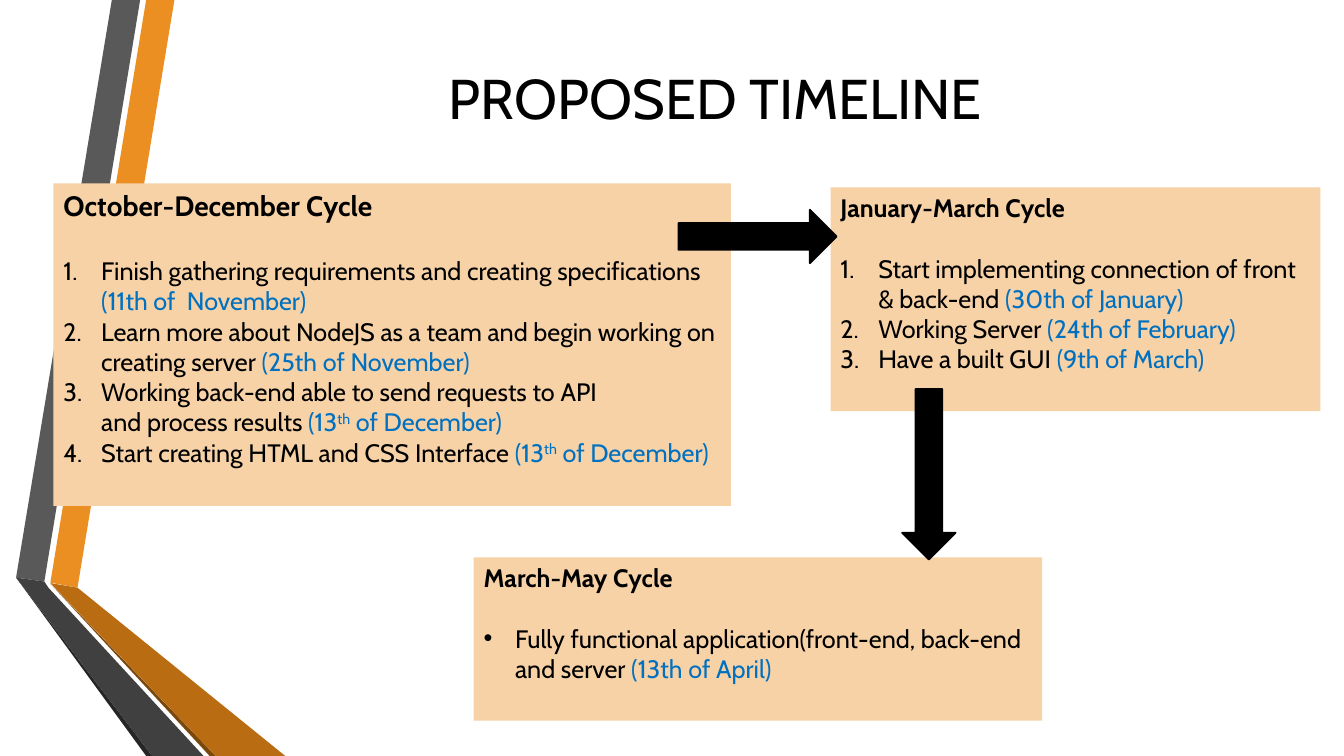
from pptx import Presentation
from pptx.dml.color import RGBColor
from pptx.enum.shapes import MSO_SHAPE as Shape
from pptx.enum.text import MSO_ANCHOR as Anchor, PP_ALIGN as Align
from pptx.oxml.ns import qn
from pptx.util import Pt
from lxml.etree import SubElement

# Content: "~" is a no-break space, "^" switches superscript on and off
FONT = "Cabin"
COLORS = {"black": "000000", "date": "0070C0", "box": "F7D2A7",
          "orange": "EB8F22", "gray": "595959", "charcoal": "262626",
          "brown": "7B480B", "amber": "B96C11", "slate": "404040"}
TITLE = "PROPOSED TIMELINE"
TITLE_BOX = (116.6, 0, 789.1, 138.2)

CYCLES = [
    {"heading": "October-December Cycle", "size": 20, "numbered": True, "indent": 27,
     "box": (38.2, 131, 483.8, 230.4),
     "tasks": [
         ("Finish gathering requirements and~creating specifications ", "(11th of~ November)"),
         ("Learn more about NodeJS as a team and begin working~on creating~server ",
          "(25th of November)"),
         ("Working~back-end able to send requests to API and~process~results ",
          "(13^th^~of December)"),
         ("Start creating~HTML and CSS~Interface~", "(13^th^~of December)")]},
    {"heading": "January-March Cycle", "size": 18, "numbered": True, "indent": 27,
     "box": (593.3, 133.9, 349.9, 159.8),
     "tasks": [
         ("Start implementing connection of front &~back-end~", "(30th of January)"),
         ("Working Server ", "(24th of February)"),
         ("Have a built GUI ", "(9th of~March)")]},
    {"heading": "March-May Cycle", "size": 18, "numbered": False, "indent": 22.5,
     "box": (338.4, 398.2, 406.1, 116.6),
     "tasks": [
         ("Fully functional~application(front-end, back-end and server~", "(13th of~April)")]},
]

ARROWS = [(Shape.RIGHT_ARROW, (484.6, 149.8, 113, 38.2)),
          (Shape.DOWN_ARROW, (644.4, 277.9, 38.2, 121.7))]

RIBBONS = [
    ("orange", [(36, 416.2), (55.4, 419.8), (124.6, 0), (104.4, 0)]),
    ("gray", [(100.1, 0), (79.9, 0), (11.5, 412.6), (31.7, 415.4)]),
    ("charcoal", [(11.5, 412.6), (104.4, 540), (108.7, 540)]),
    ("brown", [(36, 416.9), (149.8, 540), (154.1, 540)]),
    ("amber", [(36, 416.5), (154.1, 540), (203.8, 540), (55.4, 419.8)]),
    ("slate", [(145.4, 540), (34.6, 419.8), (31.7, 415.4), (11.5, 412.6), (108.7, 540)]),
]


def rgb(name):
    return RGBColor.from_string(COLORS[name])


def paint(shape, color):
    shape.shadow.inherit = False
    shape.fill.solid()
    shape.fill.fore_color.rgb = rgb(color)
    shape.line.fill.background()


def write(paragraph, text, size=18, color="black", bold=False):
    for number, part in enumerate(text.replace("~", chr(160)).split("^")):
        run = paragraph.add_run()
        run.text = part
        run.font.name = FONT
        run.font.size = Pt(size)
        run.font.bold = bold
        run.font.color.rgb = rgb(color)
        if number % 2:
            run.font._element.set("baseline", "30000")


def add_bullet(paragraph, indent, numbered):
    properties = paragraph._p.get_or_add_pPr()
    properties.set("marL", str(Pt(indent)))
    properties.set("indent", str(-Pt(indent)))
    if numbered:
        SubElement(properties, qn("a:buFont"), typeface="+mj-lt")
        SubElement(properties, qn("a:buAutoNum"), type="arabicPeriod")
    else:
        SubElement(properties, qn("a:buFont"), typeface="Arial")
        SubElement(properties, qn("a:buChar"), char="•")


presentation = Presentation()
presentation.slide_width, presentation.slide_height = Pt(960), Pt(540)
slide = presentation.slides.add_slide(presentation.slide_layouts[6])
shapes = slide.shapes

# Folded ribbons on the left
for color, points in RIBBONS:
    corners = [(Pt(x), Pt(y)) for x, y in points]
    builder = shapes.build_freeform(*corners[0])
    builder.add_line_segments(corners[1:], close=True)
    paint(builder.convert_to_shape(), color)

# Title
title = shapes.add_textbox(*map(Pt, TITLE_BOX)).text_frame
title.word_wrap = True
title.vertical_anchor = Anchor.MIDDLE
title.paragraphs[0].alignment = Align.CENTER
write(title.paragraphs[0], TITLE, size=40)

# Cycle boxes, with one empty line's height below each heading
for cycle in CYCLES:
    box = shapes.add_shape(Shape.RECTANGLE, *map(Pt, cycle["box"]))
    paint(box, "box")
    frame = box.text_frame
    frame.word_wrap = True
    frame.vertical_anchor = Anchor.TOP
    heading = frame.paragraphs[0]
    heading.alignment = Align.LEFT
    heading.space_after = Pt(1.2 * cycle["size"])
    write(heading, cycle["heading"], size=cycle["size"], bold=True)
    for task, date in cycle["tasks"]:
        paragraph = frame.add_paragraph()
        paragraph.alignment = Align.LEFT
        add_bullet(paragraph, cycle["indent"], cycle["numbered"])
        write(paragraph, task)
        write(paragraph, date, color="date")

# Arrows from cycle to cycle
for kind, place in ARROWS:
    arrow = shapes.add_shape(kind, *map(Pt, place))
    paint(arrow, "black")
    arrow.line.color.rgb = rgb("black")
    arrow.line.width = Pt(1.25)

presentation.save("out.pptx")
